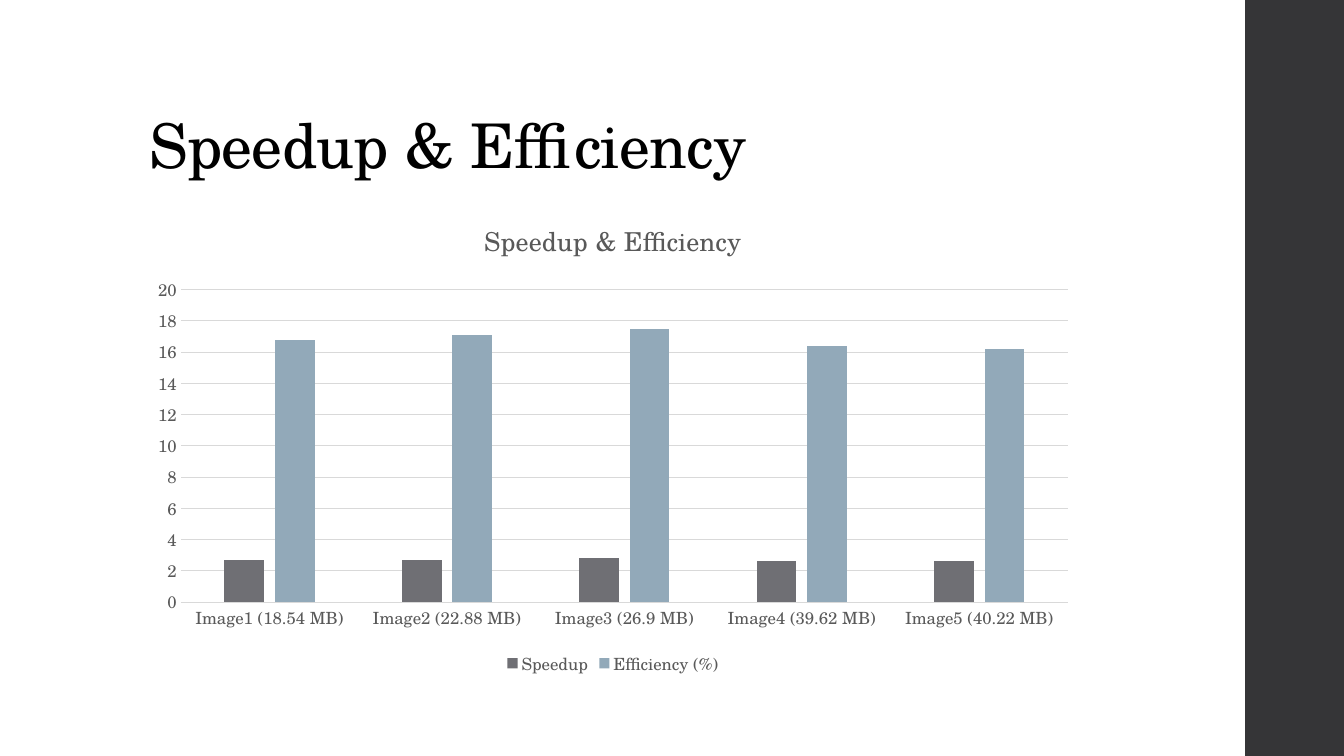
from lxml import etree
from pptx import Presentation
from pptx import util as u
from pptx.chart.data import CategoryChartData
from pptx.dml.color import RGBColor
from pptx.enum import chart as ch, shapes, text
from pptx.oxml.ns import qn

PX = 9144  # 100 px to the inch
WIDE, HIGH = 1333, 750
FACE = "TeX Gyre Schola"
HEAD = "Speedup & Efficiency"

BLACK = RGBColor(0x00, 0x00, 0x00)
WHITE = RGBColor(0xFF, 0xFF, 0xFF)
DARK = RGBColor(0x35, 0x35, 0x37)
GRAY = RGBColor(0x59, 0x59, 0x59)
RULE = RGBColor(0xD9, 0xD9, 0xD9)
SLATE = RGBColor(0x6F, 0x6F, 0x74)
BLUE = RGBColor(0x92, 0xA9, 0xB9)

CATS = ["Image1 (18.54 MB)", "Image2 (22.88 MB)", "Image3 (26.9 MB)",
        "Image4 (39.62 MB)", "Image5 (40.22 MB)"]
SERIES = [("Speedup", (2.7, 2.7, 2.8, 2.6, 2.6), SLATE),
          ("Efficiency (%)", (16.8, 17.1, 17.5, 16.4, 16.2), BLUE)]


def emu(*box):
    return [u.Emu(v * PX) for v in box]


def style(font, size, color):
    font.name = FACE
    font.size = u.Pt(size)
    font.bold = False
    font.color.rgb = color


def rule(line):
    line.color.rgb = RULE
    line.width = u.Pt(0.75)


def add_band(slide, box):
    band = slide.shapes.add_shape(shapes.MSO_SHAPE.RECTANGLE, *emu(*box))
    band.shadow.inherit = False
    band.fill.solid()
    band.fill.fore_color.rgb = DARK
    band.line.fill.background()


def add_title(slide, box):
    frame = slide.shapes.add_textbox(*emu(*box)).text_frame
    frame.word_wrap = True
    frame.vertical_anchor = text.MSO_ANCHOR.BOTTOM
    para = frame.paragraphs[0]
    para.line_spacing = 0.9
    run = para.add_run()
    run.text = HEAD
    style(run.font, 44, BLACK)
    run.font._element.set("spc", "-50")


def add_bars(slide, box):
    data = CategoryChartData()
    data.categories = CATS
    for name, vals, _ in SERIES:
        data.add_series(name, vals)
    kind = ch.XL_CHART_TYPE.COLUMN_CLUSTERED
    chart = slide.shapes.add_chart(kind, *emu(*box), data).chart
    style(chart.font, 10, BLACK)

    # Chart title
    chart.has_title = True
    run = chart.chart_title.text_frame.paragraphs[0].add_run()
    run.text = HEAD
    style(run.font, 18.6, GRAY)
    chart.chart_title.include_in_layout = False

    # Bars
    plot = chart.plots[0]
    plot.gap_width = 219
    plot.overlap = -27
    plot.vary_by_categories = False
    for bars, (_, _, color) in zip(plot.series, SERIES):
        bars.format.fill.solid()
        bars.format.fill.fore_color.rgb = color
        bars.invert_if_negative = False

    # Axes
    cat, val = chart.category_axis, chart.value_axis
    for axis in (cat, val):
        axis.major_tick_mark = ch.XL_TICK_MARK.NONE
        axis.minor_tick_mark = ch.XL_TICK_MARK.NONE
        style(axis.tick_labels.font, 12, GRAY)
    rule(cat.format.line)
    val.format.line.fill.background()
    val.minimum_scale, val.maximum_scale, val.major_unit = 0, 20, 2
    val.has_major_gridlines = True
    rule(val.major_gridlines.format.line)

    # Legend
    chart.has_legend = True
    chart.legend.position = ch.XL_LEGEND_POSITION.BOTTOM
    chart.legend.include_in_layout = False
    style(chart.legend.font, 12, GRAY)


def main():
    deck = Presentation()
    deck.slide_width, deck.slide_height = emu(WIDE, HIGH)
    slide = deck.slides.add_slide(deck.slide_layouts[6])
    slide.background.fill.solid()
    slide.background.fill.fore_color.rgb = WHITE
    add_band(slide, (1235, 0, WIDE - 1235, HIGH))
    add_title(slide, (138, 40, 1060, 145))
    add_bars(slide, (138, 198, 940, 476))
    deck.save("out.pptx")


if __name__ == "__main__":
    main()
